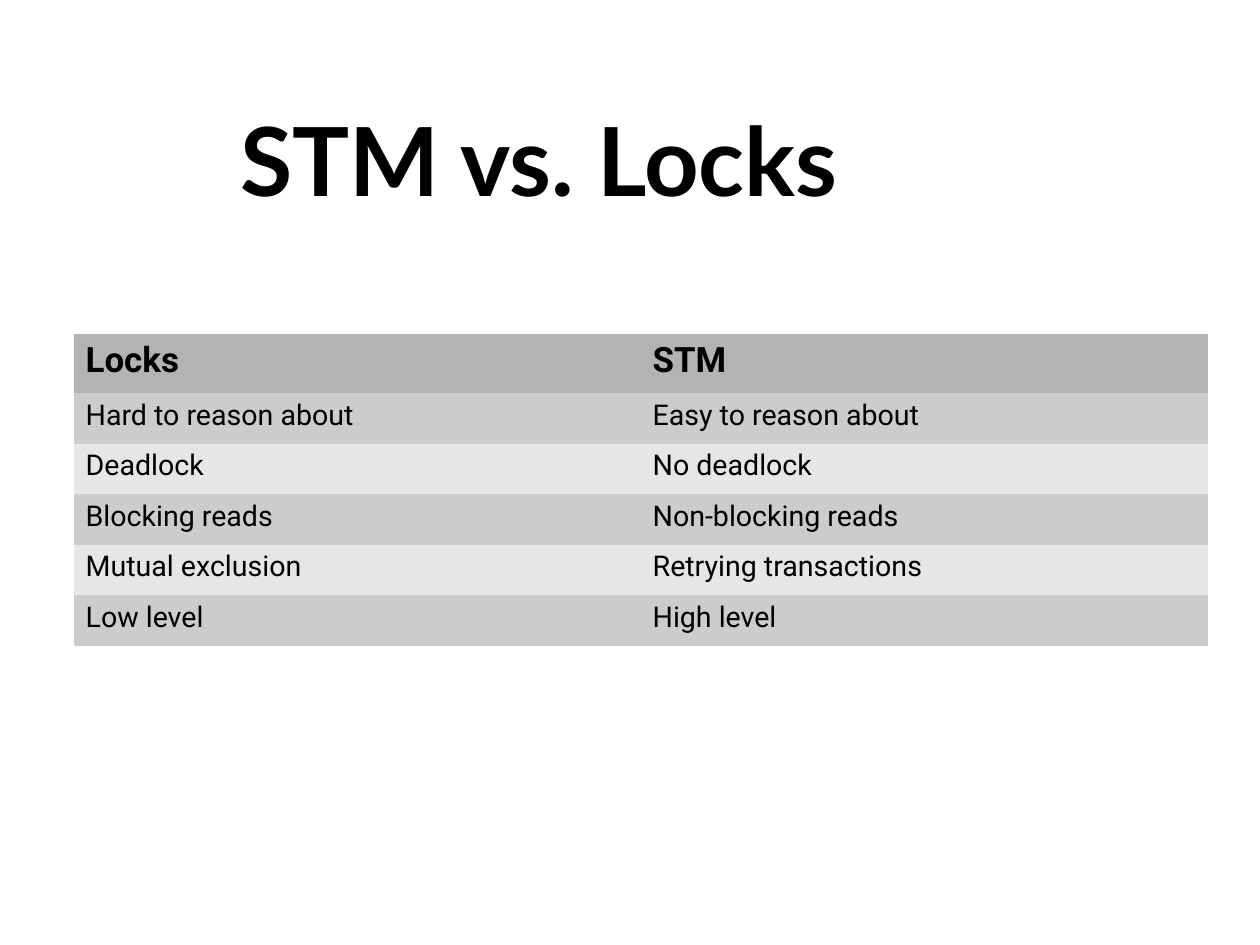
import pptx
import pptx.dml.color
import pptx.enum.text
import pptx.oxml.ns
import pptx.util

# The slide is a grid of 28 columns and 21 rows, each one centimetre wide.
COLUMNS, ROWS = 28, 21
TITLE_BOX = (5.34, 1.78, 21.26, 3.5)  # left, top, width, height in grid units
TABLE_BOX = (1.65, 7.42, 25.2, 6.93)
HEADER_SHARE = 0.19  # of the table's height
HEADER_FILL = "B3B3B3"
BAND_FILLS = ("CCCCCC", "E6E6E6")
NO_GRID_STYLE = "{2D5ABB26-0587-4C30-8999-92F81FD0307C}"

COMPARISON = [
    ("Locks", "STM"),
    ("Hard to reason about", "Easy to reason about"),
    ("Deadlock", "No deadlock"),
    ("Blocking reads", "Non-blocking reads"),
    ("Mutual exclusion", "Retrying transactions"),
    ("Low level", "High level"),
]


def color(hex_value):
    return pptx.dml.color.RGBColor.from_string(hex_value)


def to_lengths(box):
    """Turn grid units into lengths."""
    return [pptx.util.Cm(units) for units in box]


def set_font(para, name, size, bold):
    para.font.name = name
    para.font.size = pptx.util.Pt(size)
    para.font.bold = bold
    para.font.color.rgb = color("000000")


def place_title(page, box, text):
    title = page.shapes.title
    title.left, title.top, title.width, title.height = to_lengths(box)
    frame = title.text_frame
    frame.text = text
    frame.margin_left = frame.margin_right = frame.margin_top = frame.margin_bottom = 0
    frame.vertical_anchor = pptx.enum.text.MSO_ANCHOR.MIDDLE
    para = frame.paragraphs[0]
    para.alignment = pptx.enum.text.PP_ALIGN.LEFT
    set_font(para, "Lato", 60, True)


def fill_cell(cell, text, row_index):
    is_header = row_index == 0
    cell.text = text
    cell.fill.solid()
    cell.fill.fore_color.rgb = color(HEADER_FILL if is_header else BAND_FILLS[(row_index - 1) % 2])
    set_font(cell.text_frame.paragraphs[0], "Roboto", 22 if is_header else 18, is_header)


def place_comparison(page, box, rows):
    left, top, width, height = to_lengths(box)
    table = page.shapes.add_table(len(rows), len(rows[0]), left, top, width, height).table
    table.horz_banding = False
    table._tbl.tblPr.find(pptx.oxml.ns.qn("a:tableStyleId")).text = NO_GRID_STYLE
    header_height = int(height * HEADER_SHARE)
    body_height = (height - header_height) // (len(rows) - 1)
    for row_index, texts in enumerate(rows):
        table.rows[row_index].height = body_height if row_index else header_height
        for column_index, text in enumerate(texts):
            fill_cell(table.cell(row_index, column_index), text, row_index)


def main():
    deck = pptx.Presentation()
    deck.slide_width, deck.slide_height = to_lengths((COLUMNS, ROWS))
    page = deck.slides.add_slide(deck.slide_layouts.get_by_name("Title Only"))
    place_title(page, TITLE_BOX, "STM vs. Locks")
    place_comparison(page, TABLE_BOX, COMPARISON)
    deck.save("out.pptx")


if __name__ == "__main__":
    main()
